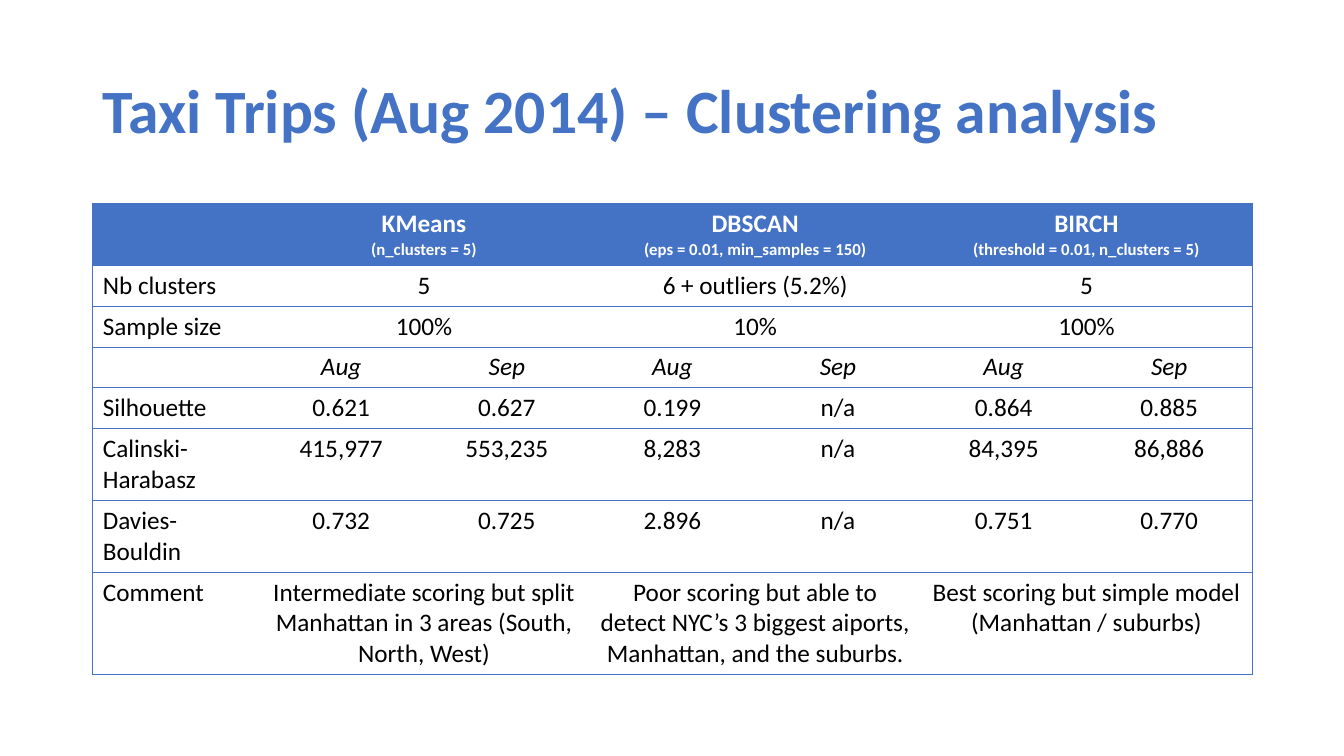
from lxml import etree
from pptx import Presentation
from pptx.dml.color import RGBColor
from pptx.enum.text import MSO_ANCHOR, PP_ALIGN
from pptx.oxml.ns import qn
from pptx.util import Inches, Pt

BLUE, WHITE, BLACK = "4472C4", "FFFFFF", "000000"
COLUMNS = 7
LINE_HEIGHT, CELL_PADDING = 22, 7.2


def write(frame, text, sizes=(18,), color=BLACK, bold=False, italic=False,
          align=PP_ALIGN.LEFT, spacing=None):
    """Fill a text frame, one paragraph per line of text and per size."""
    frame.text = text
    frame.word_wrap = True
    for paragraph, size in zip(frame.paragraphs, sizes):
        paragraph.alignment = align
        paragraph.line_spacing = spacing
        font = paragraph.font if not paragraph.runs else paragraph.runs[0].font
        font.name, font.size = "Calibri", Pt(size)
        font.bold, font.italic = bold, italic
        font.color.rgb = RGBColor.from_string(color)


def set_border(cell, side, position, color=None):
    """Draw one cell side, or clear it when no colour is given."""
    line = etree.Element(qn(f"a:ln{side}"), w=str(Pt(0.5)))
    if color:
        fill = etree.SubElement(line, qn("a:solidFill"))
        etree.SubElement(fill, qn("a:srgbClr"), val=color)
    else:
        etree.SubElement(line, qn("a:noFill"))
    cell._tc.get_or_add_tcPr().insert(position, line)


deck = Presentation()
deck.slide_width, deck.slide_height = Inches(13.33), Inches(7.5)
slide = deck.slides.add_slide(deck.slide_layouts[6])
left, width = Inches(0.92), Inches(11.5)

heading = slide.shapes.add_textbox(left, Inches(0.4), width, Inches(1.45)).text_frame
write(heading, "Taxi Trips (Aug 2014) – Clustering analysis",
      sizes=(44,), color=BLUE, bold=True, spacing=0.9)
heading.vertical_anchor = MSO_ANCHOR.MIDDLE

# Each row: height in text lines, then its label and values.
# Rows with three values spread each one over two columns.
rows = [
    (1.67, "", "KMeans\n(n_clusters = 5)", "DBSCAN\n(eps = 0.01, min_samples = 150)",
     "BIRCH\n(threshold = 0.01, n_clusters = 5)"),
    (1, "Nb clusters", "5", "6 + outliers (5.2%)", "5"),
    (1, "Sample size", "100%", "10%", "100%"),
    (1, "", "Aug", "Sep", "Aug", "Sep", "Aug", "Sep"),
    (1, "Silhouette", "0.621", "0.627", "0.199", "n/a", "0.864", "0.885"),
    (2, "Calinski-Harabasz", "415,977", "553,235", "8,283", "n/a", "84,395", "86,886"),
    (2, "Davies-Bouldin", "0.732", "0.725", "2.896", "n/a", "0.751", "0.770"),
    (3, "Comment",
     "Intermediate scoring but split Manhattan in 3 areas (South, North, West)",
     "Poor scoring but able to detect NYC’s 3 biggest aiports, Manhattan, and the suburbs.",
     "Best scoring but simple model (Manhattan / suburbs)"),
]
HEADER_ROW, MONTH_ROW = 0, 3

heights = [Pt(CELL_PADDING + LINE_HEIGHT * lines) for lines, *_ in rows]
scores = slide.shapes.add_table(len(rows), COLUMNS, left, Inches(2.02),
                                width, sum(heights)).table
scores.horz_banding = False

for r, (_, label, *values) in enumerate(rows):
    scores.rows[r].height = heights[r]
    is_header = r == HEADER_ROW
    span = (COLUMNS - 1) // len(values)
    look = dict(sizes=(18, 12), color=WHITE if is_header else BLACK,
                bold=is_header, italic=r == MONTH_ROW)

    write(scores.cell(r, 0).text_frame, label, **look)
    for i, value in enumerate(values):
        first = 1 + i * span
        if span > 1:
            scores.cell(r, first).merge(scores.cell(r, first + span - 1))
        write(scores.cell(r, first).text_frame, value, align=PP_ALIGN.CENTER, **look)

    for c in range(COLUMNS):
        cell = scores.cell(r, c)
        cell.fill.solid()
        cell.fill.fore_color.rgb = RGBColor.from_string(BLUE if is_header else WHITE)
        last = c + (cell.span_width if cell.is_merge_origin else 1) == COLUMNS
        sides = {"L": c == 0, "R": last, "T": True, "B": True}
        for position, (side, visible) in enumerate(sides.items()):
            set_border(cell, side, position, BLUE if visible else None)

deck.save("out.pptx")
